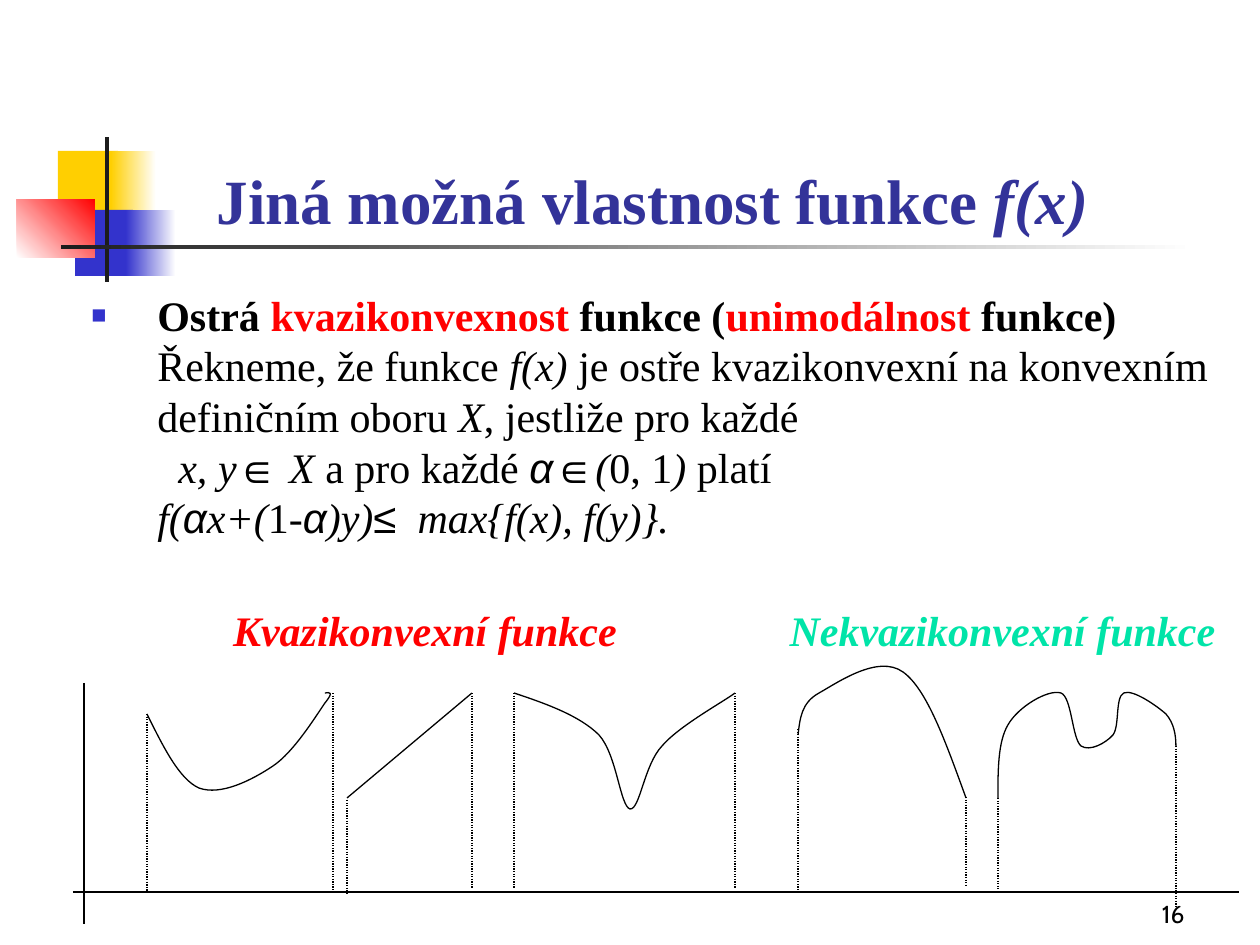
"""Build the slide on strict quasiconvexity of a function f(x)."""
from lxml import etree
from pptx import Presentation, util as u
from pptx.dml.color import RGBColor
from pptx.enum import dml, shapes, text
from pptx.oxml import ns

EMU_PER_PX = 914400 / 126
BLACK = RGBColor(0, 0, 0)
WHITE = RGBColor(0xFF, 0xFF, 0xFF)
CHARCOAL = RGBColor(0x1C, 0x1C, 0x1C)
YELLOW = RGBColor(0xFF, 0xCF, 0x01)
BLUE = RGBColor(0x33, 0x33, 0xCC)
NAVY = RGBColor(0x33, 0x33, 0x99)
RED = RGBColor(0xFF, 0, 0)
GREEN = RGBColor(0, 0xE4, 0xA8)
SERIF = {"name": "Times New Roman", "size": u.Pt(24), "bold": False, "italic": False}
BOLD = {"bold": True}
ITALIC = {"italic": True}
SYMBOL = {"name": "Arial", "italic": True}


def px(n):
    return round(n * EMU_PER_PX)


def add_runs(p, runs):
    for words, color, fmt in runs:
        if words == "\n":
            p.add_line_break()
            continue
        r = p.add_run()
        r.text = words
        r.font.color.rgb = color
        for key, value in {**SERIF, **fmt}.items():
            setattr(r.font, key, value)
        if words in (" ", "≤"):
            r.font._element.set("spc", "600")


prs = Presentation()
prs.slide_width, prs.slide_height = px(1260), px(945)
s = prs.slides.add_slide(prs.slide_layouts[6])

blocks = [
    (58, 151, 60, 66, YELLOW, None, 0),
    (111, 151, 45, 66, YELLOW, WHITE, 0),
    (75, 210, 58, 66, BLUE, None, 0),
    (126, 210, 50, 66, BLUE, WHITE, 0),
    (17, 199, 78, 59, WHITE, RED, 45),
    (105, 137, 4, 145, CHARCOAL, None, 0),
    (61, 245, 1134, 4, CHARCOAL, WHITE, 0),
]
for x, y, w, h, color, end, angle in blocks:
    sp = s.shapes.add_shape(shapes.MSO_SHAPE.RECTANGLE, px(x), px(y), px(w), px(h))
    sp.shadow.inherit = False
    sp.line.fill.background()
    if end is None:
        sp.fill.solid()
        sp.fill.fore_color.rgb = color
    else:
        sp.fill.gradient()
        sp.fill.gradient_angle = angle
        for stop, stop_color in zip(sp.fill.gradient_stops, (color, end)):
            stop.color.rgb = stop_color

TOP, BOTTOM = text.MSO_ANCHOR.TOP, text.MSO_ANCHOR.BOTTOM
LEFT, CENTER, RIGHT = text.PP_ALIGN.LEFT, text.PP_ALIGN.CENTER, text.PP_ALIGN.RIGHT
LINE = u.Pt(28.9)
HEADING = {"size": u.Pt(36), "bold": True}
LABEL = {"bold": True, "italic": True}
NUMBER = {"name": "Cabin", "size": u.Pt(14)}

definition = [
    ("Ostrá ", BLACK, BOLD),
    ("kvazikonvexnost ", RED, BOLD),
    ("funkce (", BLACK, BOLD),
    ("unimodálnost ", RED, BOLD),
    ("funkce)", BLACK, BOLD),
    ("\n", BLACK, {}),
    ("Řekneme, že funkce ", BLACK, {}),
    ("f(x)", BLACK, ITALIC),
    (" je ostře kvazikonvexní na konvexním definičním oboru ", BLACK, {}),
    ("X", BLACK, ITALIC),
    (", jestliže pro každé", BLACK, {}),
    ("\n", BLACK, {}),
    (" ", BLACK, {}),
    ("x, y", BLACK, ITALIC),
    ("∈", BLACK, SYMBOL),
    (" X ", BLACK, ITALIC),
    ("a pro každé ", BLACK, {}),
    ("α∈", BLACK, SYMBOL),
    ("(", BLACK, ITALIC),
    ("0, 1", BLACK, {}),
    (") ", BLACK, ITALIC),
    ("platí ", BLACK, {}),
    ("\n", BLACK, {}),
    ("f(", BLACK, ITALIC),
    ("α", BLACK, SYMBOL),
    ("x+(", BLACK, ITALIC),
    ("1", BLACK, {}),
    ("-", BLACK, ITALIC),
    ("α", BLACK, SYMBOL),
    (")y)", BLACK, ITALIC),
    ("≤", BLACK, SYMBOL),
    (" max{f(x), f(y)}.", BLACK, ITALIC),
]
heading = [("Jiná možná vlastnost funkce ", NAVY, HEADING), ("f(x)", NAVY, {**HEADING, **ITALIC})]
boxes = [
    (935, 872, 262, 63, BOTTOM, RIGHT, None, [("16", BLACK, NUMBER)]),
    (73, 53, 1159, 190, BOTTOM, CENTER, None, heading),
    (53, 283, 1187, 325, TOP, LEFT, LINE, definition),
    (126, 598, 598, 63, TOP, CENTER, LINE, [("Kvazikonvexní funkce", RED, LABEL)]),
    (766, 598, 473, 63, TOP, CENTER, LINE, [("Nekvazikonvexní funkce", GREEN, LABEL)]),
]
for x, y, w, h, anchor, align, spacing, runs in boxes:
    tf = s.shapes.add_textbox(px(x), px(y), px(w), px(h)).text_frame
    tf.word_wrap = True
    tf.vertical_anchor = anchor
    p = tf.paragraphs[0]
    p.alignment = align
    p.line_spacing = spacing
    if runs is definition:
        pPr = p._p.get_or_add_pPr()
        pPr.set("marL", str(px(92)))
        pPr.set("indent", str(px(-66)))
        clr = etree.SubElement(pPr, ns.qn("a:buClr"))
        etree.SubElement(clr, ns.qn("a:srgbClr"), val=str(BLUE))
        etree.SubElement(pPr, ns.qn("a:buSzPct"), val="60000")
        etree.SubElement(pPr, ns.qn("a:buFont"), typeface="Arial")
        etree.SubElement(pPr, ns.qn("a:buChar"), char="■")
    add_runs(p, runs)

SOLID, DOTTED = None, dml.MSO_LINE.ROUND_DOT
lines = [
    (73, 892, 1239, 892, SOLID),
    (84, 683, 84, 924, SOLID),
    (347, 798, 472, 693, SOLID),
]
drops = [(147, 714, 892), (333, 693, 894), (472, 693, 889), (347, 800, 894),
         (514, 693, 889), (735, 693, 889), (798, 729, 889), (966, 797, 887),
         (998, 798, 889), (1176, 746, 908)]
lines += [(x, top, x, bottom, DOTTED) for x, top, bottom in drops]
for x1, y1, x2, y2, dash in lines:
    sp = s.shapes.add_connector(shapes.MSO_CONNECTOR.STRAIGHT, px(x1), px(y1), px(x2), px(y2))
    sp.line.color.rgb = BLACK
    sp.line.width = u.Pt(0.75)
    sp.line.dash_style = dash
    etree.SubElement(sp._element.spPr, ns.qn("a:effectLst"))

curves = [
    [(147, 714), (163, 746), (179, 779), (199, 788), (221, 796), (252, 780), (273, 766),
     (294, 752), (316, 716), (325, 703), (334, 692), (330, 692), (325, 693)],
    [(514, 693), (547, 704), (580, 716), (599, 735), (617, 755), (620, 806), (630, 809),
     (640, 810), (644, 765), (662, 746), (679, 726), (723, 702), (735, 693)],
    [(798, 735), (800, 719), (801, 703), (819, 693), (837, 683), (878, 654), (903, 672),
     (927, 689), (946, 743), (966, 798)],
    [(998, 798), (998, 770), (998, 742), (1008, 725), (1018, 707), (1048, 689), (1061, 693),
     (1072, 697), (1072, 738), (1081, 746), (1090, 752), (1106, 743), (1113, 735),
     (1120, 726), (1115, 697), (1124, 693), (1133, 689), (1157, 706), (1166, 714),
     (1174, 723), (1176, 735), (1176, 746)],
]
for knots in curves:
    start, *rest = [(px(x), px(y)) for x, y in knots]
    builder = s.shapes.build_freeform(*start)
    builder.add_line_segments(rest, close=False)
    sp = builder.convert_to_shape()
    sp.shadow.inherit = False
    sp.fill.background()
    sp.line.color.rgb = BLACK
    sp.line.width = u.Pt(0.75)
    segments = list(sp._element.iter(ns.qn("a:lnTo")))
    outline = segments[0].getparent()
    for i in range(0, len(segments), 3):
        bezier = etree.SubElement(outline, ns.qn("a:cubicBezTo"))
        for segment in segments[i:i + 3]:
            bezier.append(segment[0])
            outline.remove(segment)

prs.save("out.pptx")
